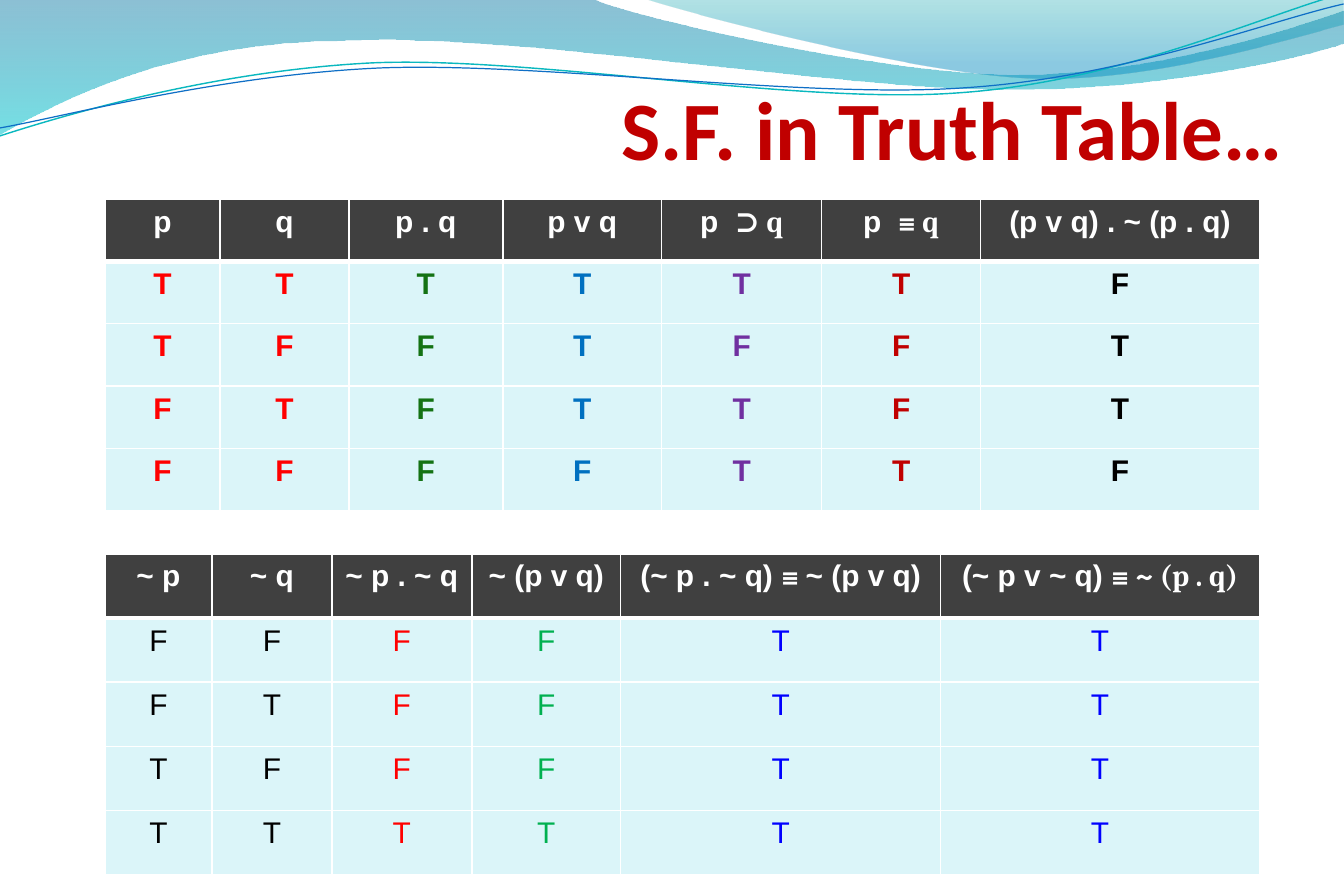
from lxml import etree
from pptx import Presentation
from pptx.dml.color import RGBColor
from pptx.enum.text import MSO_ANCHOR, PP_ALIGN
from pptx.oxml.ns import qn
from pptx.util import Emu, Inches, Pt

MIDDLE = MSO_ANCHOR.MIDDLE
CENTER, RIGHT = PP_ALIGN.CENTER, PP_ALIGN.RIGHT

WHITE = RGBColor(0xFF, 0xFF, 0xFF)
BLACK = RGBColor(0x00, 0x00, 0x00)
CHARCOAL = RGBColor(0x40, 0x40, 0x40)
PALE = RGBColor(0xDB, 0xF5, 0xF9)
RED = RGBColor(0xFF, 0x00, 0x00)
DARK_RED = RGBColor(0xC0, 0x00, 0x00)
FOREST = RGBColor(0x14, 0x72, 0x14)
GREEN = RGBColor(0x00, 0xB0, 0x50)
AZURE = RGBColor(0x00, 0x70, 0xC0)
BLUE = RGBColor(0x00, 0x00, 0xFF)
PURPLE = RGBColor(0x70, 0x30, 0xA0)
TEAL = RGBColor(0x0A, 0xB8, 0xBF)
OCEAN = RGBColor(0x0F, 0x6F, 0xC6)
DEEP_SEA = RGBColor(0x00, 0x74, 0xA1)
CYAN = RGBColor(0x00, 0xC6, 0xCF)
LAGOON = RGBColor(0x00, 0xA1, 0xA9)
SKY = RGBColor(0x00, 0x8B, 0xBF)

# Content
TITLE = "S.F. in Truth Table…"

# Column: header parts (Arial and Cambria in turn), width, values, colour
CONNECTIVES = [
    (("p",), 115, "TTFF", RED),
    (("q",), 129, "TFTF", RED),
    (("p . q",), 154, "TFFF", FOREST),
    (("p v q",), 159, "TTTF", AZURE),
    (("p  ", "⊃ q"), 160, "TFTT", PURPLE),
    (("p  ", "≡ q"), 159, "TFFT", DARK_RED),
    (("(p v q) . ~ (p . q)",), 279, "FTTF", BLACK),
]
NEGATIONS = [
    (("~ p",), 107, "FFTT", BLACK),
    (("~ q",), 120, "FTFT", BLACK),
    (("~ p . ~ q",), 140, "FFFT", RED),
    (("~ (p v q)",), 149, "FFFT", GREEN),
    (("(~ p . ~ q) ", "≡ ", "~ (p v q)"), 320, "TTTT", BLUE),
    (("(~ p v ~ q) ", "≡ ~ (p . q)"), 319, "TTTT", BLUE),
]
# Table: columns, top, height, bold body
TABLES = [(CONNECTIVES, 199, 312, True), (NEGATIONS, 554, 321, False)]
TABLE_LEFT = 105
HEADER_FONTS = ("Arial", "Cambria", "Arial")

# Outlines: a single point is a straight step, three points are a curve
BAND = [[(0, -1)], [(592, -1)],
        [(639, 20), (891, 75), (1019, 75)], [(1147, 75), (1288, 31), (1344, 11)],
        [(1346, 43)], [(1322, 53), (1170, 91), (1003, 90)],
        [(837, 90), (513, 33), (345, 41)], [(173, 42), (62, 99), (-1, 135)], [(0, -1)]]
CREST = [[(644, -1)], [(685, 13), (917, 74), (1034, 78)],
         [(1151, 82), (1293, 38), (1344, 25)], [(1344, 0)], [(644, -1)]]
TEAL_CURVE = [[(0, 136)], [(65, 115), (213, 71), (372, 63)],
              [(532, 56), (796, 105), (958, 93)], [(1120, 82), (1262, 16), (1342, -6)]]
OCEAN_CURVE = [[(0, 128)], [(63, 117), (220, 75), (381, 68)],
               [(541, 62), (803, 99), (963, 88)], [(1124, 78), (1265, 22), (1344, 4)]]
# Gradient stop: position, colour, opacity in percent
WAVES = [(BAND, [(0, DEEP_SEA, 45), (1, CYAN, 55)]),
         (CREST, [(0, LAGOON, 30), (0.8, SKY, 45)])]
CURVES = [(TEAL_CURVE, TEAL, 0.85), (OCEAN_CURVE, OCEAN, 0.75)]

SCALE = 914400 / 119.5


def px(n):
    return Emu(round(n * SCALE))


def add_outline(outline, close):
    """Join the end points by lines, then bend the curved steps."""
    ends = [(px(x), px(y)) for x, y in (step[-1] for step in outline)]
    builder = slide.shapes.build_freeform(*ends[0])
    builder.add_line_segments(ends[1:], close=close)
    sp = builder.convert_to_shape()
    sp.shadow.inherit = False
    segments = list(sp._element.iter(qn("a:lnTo")))
    for segment, step in zip(segments, outline[1:]):
        if len(step) == 3:
            segment.tag = qn("a:cubicBezTo")
            for i, (x, y) in enumerate(step[:2]):
                pt = etree.Element(qn("a:pt"), x=str(px(x) - sp.left), y=str(px(y) - sp.top))
                segment.insert(i, pt)
    return sp


def style(r, font, size, color, bold):
    r.font.name, r.font.size, r.font.bold = font, Pt(size), bold
    r.font.color.rgb = color


def set_borders(cell, row):
    tc_pr = cell._tc.get_or_add_tcPr()
    widths = {"lnL": 1, "lnR": 1, "lnT": 3 if row == 1 else 1, "lnB": 3 if row == 0 else 1}
    for tag, width in widths.items():
        ln = etree.SubElement(tc_pr, qn("a:" + tag), w=str(Pt(width)))
        fill = etree.SubElement(ln, qn("a:solidFill"))
        etree.SubElement(fill, qn("a:srgbClr"), val=str(WHITE))


def fill_cell(cell, row, parts, fill, color, bold):
    set_borders(cell, row)
    cell.fill.solid()
    cell.fill.fore_color.rgb = fill
    p = cell.text_frame.paragraphs[0]
    p.alignment = CENTER
    for text, font in zip(parts, HEADER_FONTS):
        r = p.add_run()
        r.text = text
        style(r, font, 18, color, bold)


prs = Presentation()
prs.slide_width, prs.slide_height = Inches(11.25), Inches(7.5)
slide = prs.slides.add_slide(prs.slide_layouts[6])

# Waves across the top
for outline, stops in WAVES:
    sp = add_outline(outline, True)
    sp.line.fill.background()
    sp.fill.gradient()
    sp.fill.gradient_angle = 270
    for stop, (position, color, _) in zip(sp.fill.gradient_stops, stops):
        stop.position = position
        stop.color.rgb = color
    for clr, (_, _, opacity) in zip(sp._element.spPr.iter(qn("a:srgbClr")), stops):
        etree.SubElement(clr, qn("a:alpha"), val=str(opacity * 1000))

for outline, color, width in CURVES:
    sp = add_outline(outline, False)
    sp.fill.background()
    sp.line.color.rgb = color
    sp.line.width = Pt(width)

# Title
tf = slide.shapes.add_textbox(px(74), px(50), px(1210), px(149)).text_frame
tf.word_wrap = True
tf.vertical_anchor = MIDDLE
tf.margin_left = tf.margin_right = tf.margin_bottom = 0
tf.margin_top = px(6)
p = tf.paragraphs[0]
p.text = TITLE
p.alignment = RIGHT
style(p.runs[0], "Calibri", 50, DARK_RED, True)

# Truth tables
for columns, top, height, bold in TABLES:
    rows = 1 + len(columns[0][2])
    width = sum(column[1] for column in columns)
    table = slide.shapes.add_table(rows, len(columns), px(TABLE_LEFT), px(top),
                                   px(width), px(height)).table
    for j, (header, col_width, values, color) in enumerate(columns):
        table.columns[j].width = px(col_width)
        fill_cell(table.cell(0, j), 0, header, CHARCOAL, WHITE, True)
        for i, value in enumerate(values, 1):
            fill_cell(table.cell(i, j), i, [value], PALE, color, bold)

prs.save("out.pptx")
